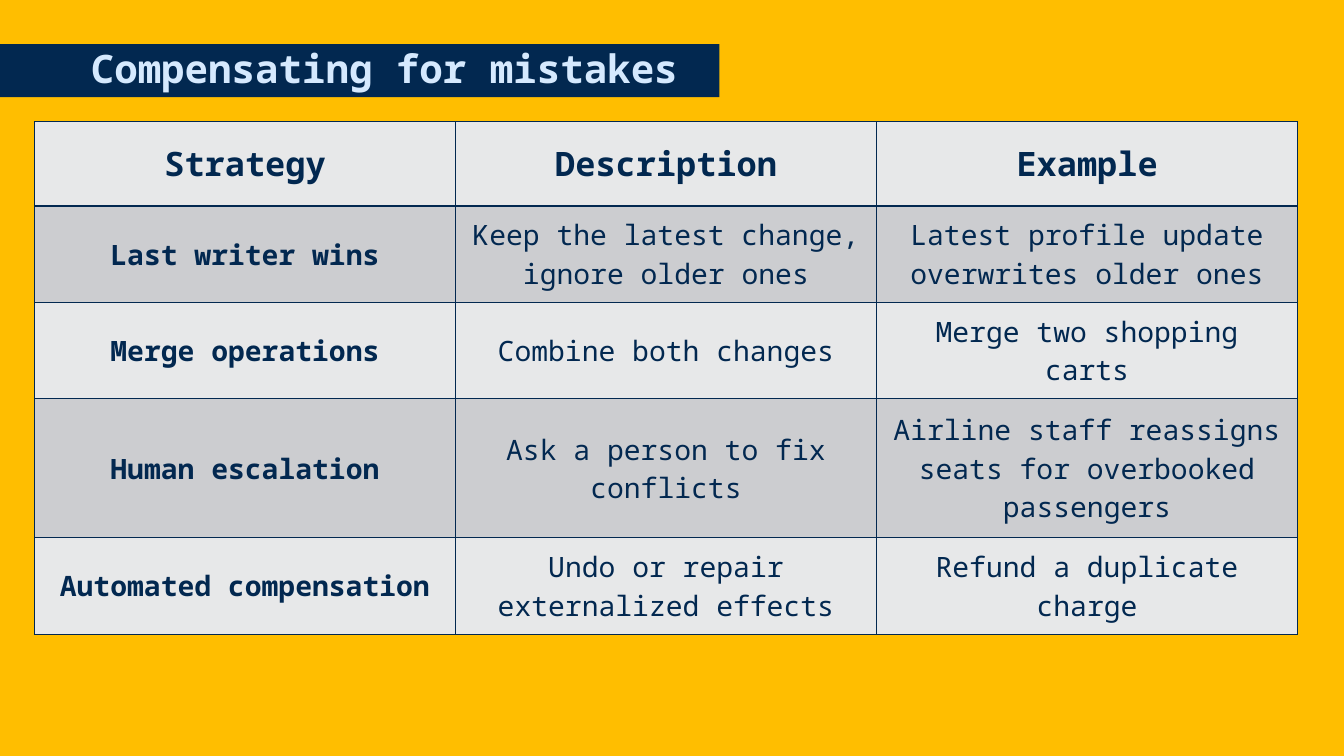
import pptx
import pptx.dml.color
import pptx.enum.shapes
import pptx.enum.text
import pptx.oxml
import pptx.oxml.ns
import pptx.util
from pptx.dml.color import RGBColor
from pptx.util import Cm

AMBER = RGBColor(0xFF, 0xBE, 0x00)
NAVY = RGBColor(0x02, 0x28, 0x50)
ICE = RGBColor(0xD5, 0xE9, 0xFE)
LIGHT_GREY = RGBColor(0xE7, 0xE8, 0xE9)
MID_GREY = RGBColor(0xCC, 0xCD, 0xD0)
FONT = "Noto Sans Mono"

STRATEGIES = [
    ("Strategy", "Description", "Example"),
    ("Last writer wins", "Keep the latest change, ignore older ones",
     "Latest profile update overwrites older ones"),
    ("Merge operations", "Combine both changes", "Merge two shopping carts"),
    ("Human escalation", "Ask a person to fix conflicts",
     "Airline staff reassigns seats for overbooked passengers"),
    ("Automated compensation", "Undo or repair externalized effects",
     "Refund a duplicate charge"),
]
ROW_HEIGHTS = [2.12, 2.43, 2.43, 3.5, 2.43]
COLUMN_WIDTH = 10.61


def style_paragraph(para, size, color, bold, align):
    """Set the font and alignment of a paragraph."""
    para.alignment = align
    para.font.name = FONT
    para.font.size = pptx.util.Pt(size)
    para.font.bold = bold
    para.font.color.rgb = color


def add_title_banner(page, text):
    """Add the title on a banner that starts at the left edge."""
    banner = page.shapes.add_shape(
        pptx.enum.shapes.MSO_SHAPE.RECTANGLE, 0, Cm(1.11), Cm(18.13), Cm(1.34))
    banner.shadow.inherit = False
    banner.fill.solid()
    banner.fill.fore_color.rgb = NAVY
    banner.line.fill.background()
    frame = banner.text_frame
    frame.word_wrap = True
    frame.vertical_anchor = pptx.enum.text.MSO_ANCHOR.MIDDLE
    frame.margin_left, frame.margin_right = Cm(2.29), Cm(0.51)
    frame.margin_top = frame.margin_bottom = Cm(0.13)
    frame.text = text
    para = frame.paragraphs[0]
    para.line_spacing = 0.9
    style_paragraph(para, 28, ICE, True, pptx.enum.text.PP_ALIGN.LEFT)


def add_cell_borders(cell):
    """Draw a thin line on all four sides of a cell."""
    properties = cell._tc.get_or_add_tcPr()
    for position, side in enumerate(("lnL", "lnR", "lnT", "lnB")):
        border = pptx.oxml.parse_xml(
            f'<a:{side} {pptx.oxml.ns.nsdecls("a")} w="{pptx.util.Pt(1)}">'
            f'<a:solidFill><a:srgbClr val="{NAVY}"/></a:solidFill></a:{side}>')
        properties.insert(position, border)


def fill_cell(cell, text, size, bold, color):
    """Write centred text in a filled and bordered cell."""
    cell.text = text
    cell.vertical_anchor = pptx.enum.text.MSO_ANCHOR.MIDDLE
    cell.fill.solid()
    cell.fill.fore_color.rgb = color
    add_cell_borders(cell)
    style_paragraph(cell.text_frame.paragraphs[0], size, NAVY, bold,
                    pptx.enum.text.PP_ALIGN.CENTER)


def add_strategy_table(page, rows):
    """Add the table with a bold header row and a bold first column."""
    columns = len(rows[0])
    table = page.shapes.add_table(
        len(rows), columns, Cm(0.87), Cm(3.07),
        Cm(COLUMN_WIDTH * columns), Cm(sum(ROW_HEIGHTS))).table
    for column in table.columns:
        column.width = Cm(COLUMN_WIDTH)
    for row_index, texts in enumerate(rows):
        table.rows[row_index].height = Cm(ROW_HEIGHTS[row_index])
        header = row_index == 0
        color = MID_GREY if row_index % 2 else LIGHT_GREY
        for column_index, text in enumerate(texts):
            fill_cell(table.cell(row_index, column_index), text,
                      24 if header else 20, header or column_index == 0, color)


def main():
    """Build the slide and save it."""
    deck = pptx.Presentation()
    deck.slide_width, deck.slide_height = Cm(33.87), Cm(19.05)
    page = deck.slides.add_slide(deck.slide_layouts[6])
    page.background.fill.solid()
    page.background.fill.fore_color.rgb = AMBER
    add_title_banner(page, "Compensating for mistakes")
    add_strategy_table(page, STRATEGIES)
    deck.save("out.pptx")


if __name__ == "__main__":
    main()
